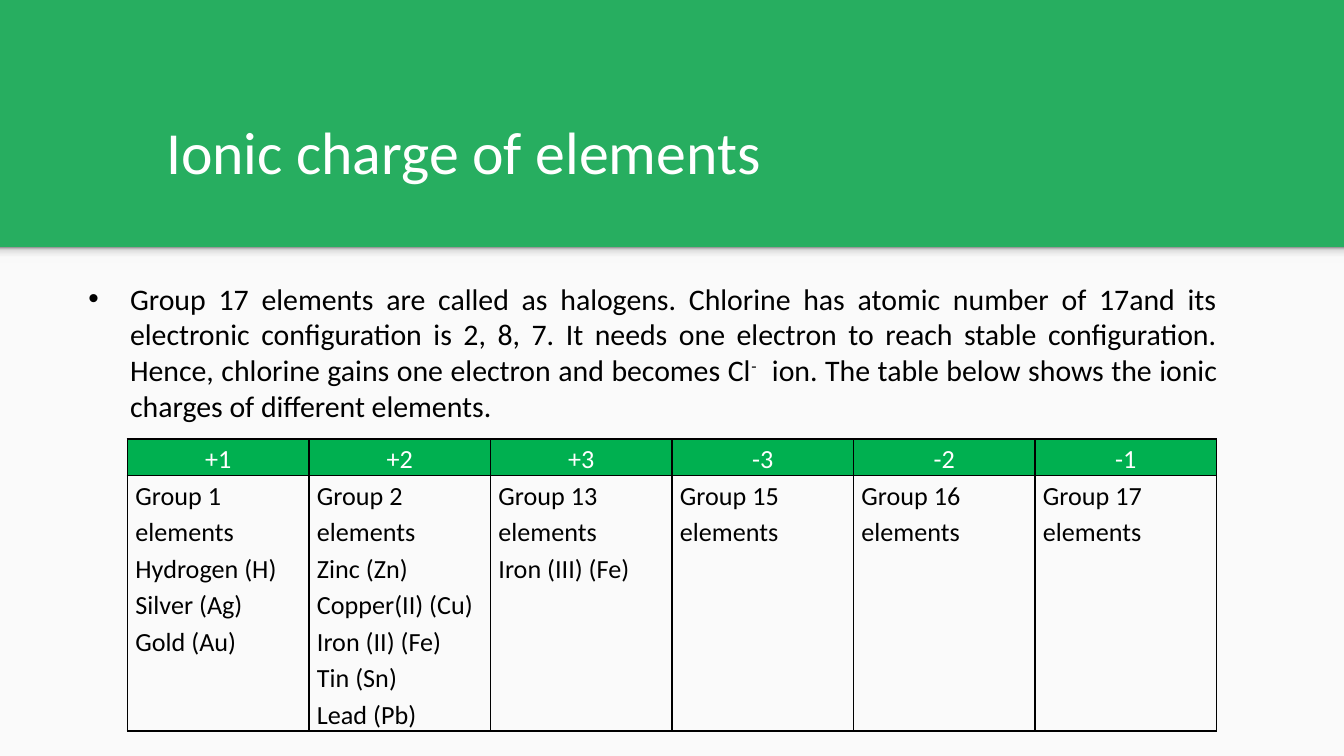
"""Build a slide on the ionic charge of elements, with a table of charges by group."""
from lxml import etree
from pptx import Presentation
from pptx.dml.color import RGBColor
from pptx.enum.shapes import MSO_SHAPE
from pptx.enum.text import MSO_ANCHOR, PP_ALIGN
from pptx.oxml import parse_xml
from pptx.oxml.ns import nsdecls, qn
from pptx.util import Cm, Pt

RECTANGLE = MSO_SHAPE.RECTANGLE
TOP, MIDDLE, BOTTOM = MSO_ANCHOR.TOP, MSO_ANCHOR.MIDDLE, MSO_ANCHOR.BOTTOM
LEFT, CENTER, JUSTIFY = PP_ALIGN.LEFT, PP_ALIGN.CENTER, PP_ALIGN.JUSTIFY

GREEN, HEADER_GREEN, PAPER = "27AE60", "00B050", "FAFAFA"
BLACK, WHITE = "000000", "FFFFFF"
SHADE_STOPS = [(0, "F9F9F9"), (36, "F9F9F9"), (80, "DEDEDE"), (100, "999999")]
CHARGES = [
    ("+1", ["Group 1 elements", "Hydrogen (H)", "Silver (Ag)", "Gold (Au)"]),
    ("+2", ["Group 2 elements", "Zinc (Zn)", "Copper(II) (Cu)", "Iron (II) (Fe)",
            "Tin (Sn)", "Lead (Pb)"]),
    ("+3", ["Group 13 elements", "Iron (III) (Fe)"]),
    ("-3", ["Group 15 elements"]),
    ("-2", ["Group 16 elements"]),
    ("-1", ["Group 17 elements"]),
]


def rgb(value):
    return RGBColor.from_string(value)


def style(paragraph, size, color, align):
    paragraph.font.name = "Calibri"
    paragraph.font.size = Pt(size)
    paragraph.font.color.rgb = rgb(color)
    paragraph.alignment = align


prs = Presentation()
prs.slide_width, prs.slide_height = Cm(25.4), Cm(14.29)
slide = prs.slides.add_slide(prs.slide_layouts[6])
slide.background.fill.solid()
slide.background.fill.fore_color.rgb = rgb(GREEN)

body_panel = slide.shapes.add_shape(RECTANGLE, 0, Cm(4.67), Cm(25.4), Cm(9.62))
body_panel.fill.solid()
body_panel.fill.fore_color.rgb = rgb(PAPER)
band_shade = slide.shapes.add_shape(RECTANGLE, 0, Cm(4.67), Cm(25.4), Cm(0.3))
band_shade.fill.gradient()
band_shade.fill.gradient_angle = 90
stops = band_shade.element.spPr.find(".//" + qn("a:gsLst"))
for default_stop in list(stops):
    stops.remove(default_stop)
for position, color in SHADE_STOPS:
    stop = etree.SubElement(stops, qn("a:gs"), pos=str(position * 1000))
    etree.SubElement(stop, qn("a:srgbClr"), val=color)
for panel in (body_panel, band_shade):
    panel.line.fill.background()
    panel.shadow.inherit = False

title = slide.shapes.add_textbox(Cm(2.59), Cm(1.65), Cm(20.7), Cm(2.13)).text_frame
explanation = slide.shapes.add_textbox(Cm(1.09), Cm(5.05), Cm(22.17), Cm(6.93)).text_frame
for frame, anchor in ((title, BOTTOM), (explanation, TOP)):
    frame.word_wrap = True
    frame.vertical_anchor = anchor
    frame.margin_left = frame.margin_right = Cm(0.25)
    frame.margin_top = frame.margin_bottom = Cm(0.25)

heading = title.paragraphs[0]
heading.text = "Ionic charge of elements"
style(heading, 32, WHITE, LEFT)
heading_props = heading._p.get_or_add_pPr()
heading_props.set("marL", str(Cm(0.3)))

halogens = explanation.paragraphs[0]
style(halogens, 16, BLACK, JUSTIFY)
halogens.add_run().text = (
    "Group 17 elements are called as halogens. Chlorine has atomic number of 17and its "
    "electronic configuration is 2, 8, 7. It needs one electron to reach stable "
    "configuration. Hence, chlorine gains one electron and becomes Cl")
ion_sign = halogens.add_run()
ion_sign.text = "-"
ion_sign.font._element.set("baseline", "30000")
halogens.add_run().text = (
    "  ion. The table below shows the ionic charges of different elements.")
bullet_props = halogens._p.get_or_add_pPr()
bullet_props.set("marL", str(Cm(1.12)))
bullet_props.set("indent", str(Cm(-0.79)))
bullet = [f'<a:buClr {nsdecls("a")}><a:srgbClr val="{BLACK}"/></a:buClr>',
          f'<a:buFont {nsdecls("a")} typeface="Arial"/>',
          f'<a:buChar {nsdecls("a")} char="•"/>']
for index, part in enumerate(bullet):
    bullet_props.insert(index, parse_xml(part))

charge_table = slide.shapes.add_table(
    2, len(CHARGES), Cm(2.41), Cm(8.3), Cm(20.58), Cm(5.52)).table
charge_table.first_row = charge_table.horz_banding = False
charge_table.rows[0].height, charge_table.rows[1].height = Cm(0.69), Cm(4.83)
for column, (charge, elements) in enumerate(CHARGES):
    charge_table.columns[column].width = Cm(3.43)
    header, members = charge_table.cell(0, column), charge_table.cell(1, column)
    header.fill.solid()
    header.fill.fore_color.rgb = rgb(HEADER_GREEN)
    members.fill.background()
    for cell, lines, color, align, anchor in (
            (header, [charge], WHITE, CENTER, MIDDLE),
            (members, elements, BLACK, LEFT, TOP)):
        cell.vertical_anchor = anchor
        cell.margin_left = cell.margin_right = Cm(0.15)
        cell.margin_top = cell.margin_bottom = 0
        cell.text = "\n".join(lines)
        for paragraph in cell.text_frame.paragraphs:
            style(paragraph, 14, color, align)
            paragraph.line_spacing = 1.15
        for index, side in enumerate(("lnL", "lnR", "lnT", "lnB")):
            cell._tc.get_or_add_tcPr().insert(index, parse_xml(
                f'<a:{side} {nsdecls("a")} w="{Pt(1)}"><a:solidFill>'
                f'<a:srgbClr val="{BLACK}"/></a:solidFill></a:{side}>'))

prs.save("out.pptx")
